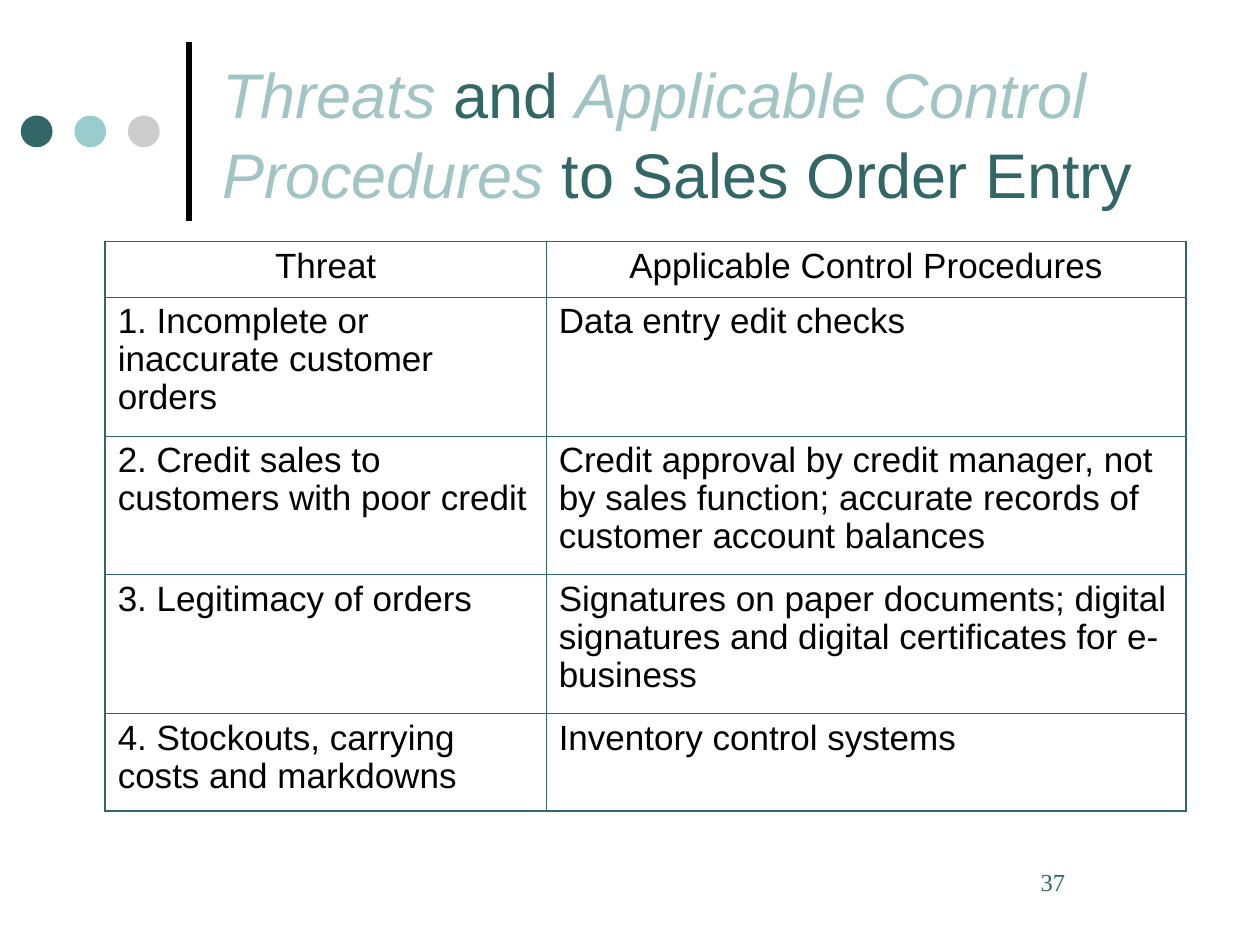
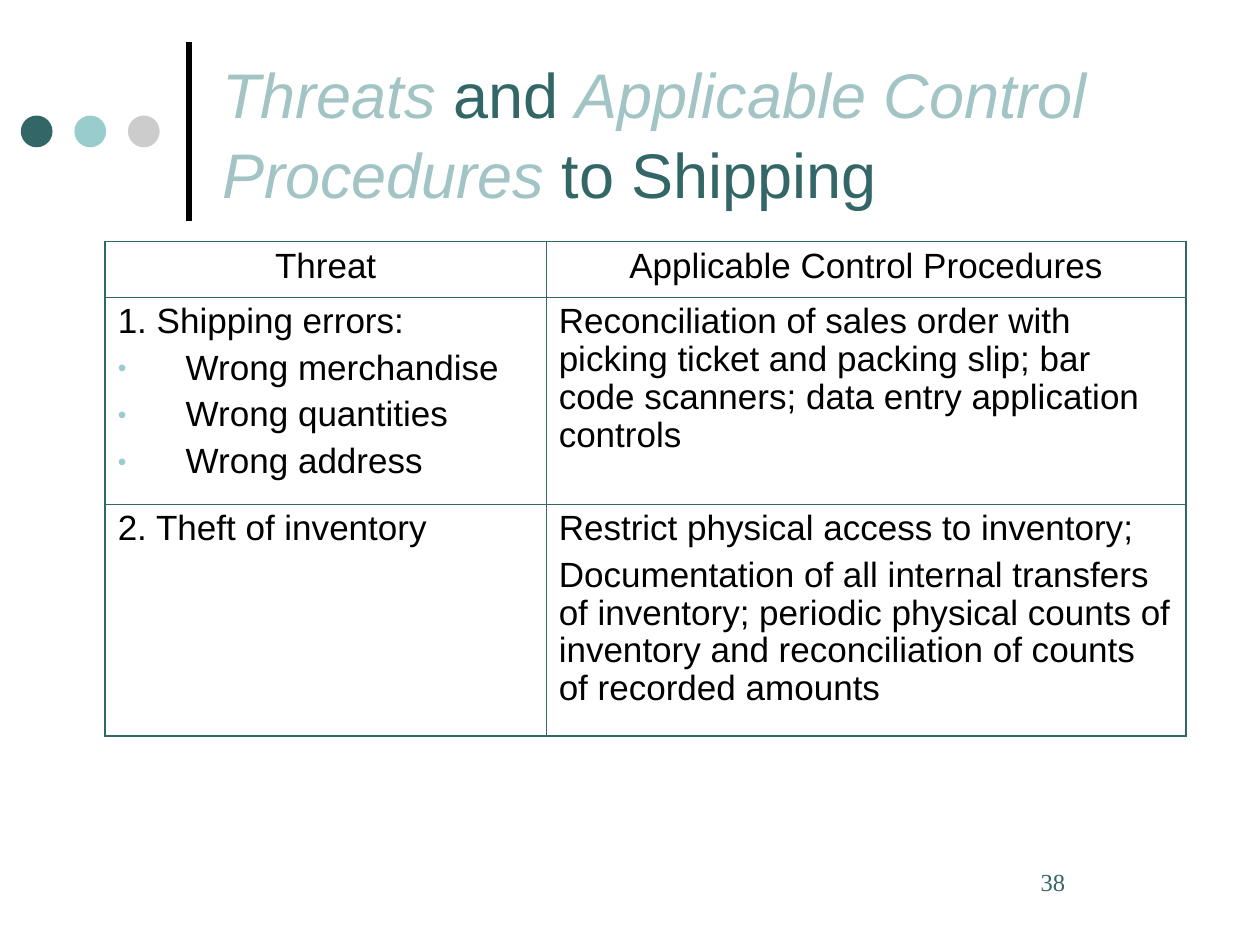
from dataclasses import dataclass

from lxml.etree import SubElement
from pptx import Presentation
from pptx.dml.color import RGBColor
from pptx.enum.shapes import MSO_CONNECTOR, MSO_SHAPE
from pptx.enum.text import MSO_ANCHOR, PP_ALIGN
from pptx.oxml.ns import qn
from pptx.util import Cm, Pt


@dataclass(frozen=True)
class Theme:
    teal: str = "336666"
    aqua: str = "99CCCC"
    pale_teal: str = "A2C4C4"
    grey: str = "CCCCCC"
    black: str = "000000"
    body_font: str = "Arial"
    number_font: str = "Times New Roman"
    title_size: float = 36
    table_size: float = 20
    number_size: float = 14
    rule_width: float = 3
    outer_border: float = 1.08
    inner_border: float = 0.45
    title_spacing: float = 1.05
    table_spacing: float = 0.97
    paragraph_gap: float = 5


@dataclass(frozen=True)
class Bullet:
    text: str


class ThreatDeck:
    def __init__(self, theme):
        self.theme = theme
        self.deck = Presentation()
        self.deck.slide_width, self.deck.slide_height = Cm(25.4), Cm(19.05)
        self.page = None

    def add_page(self, subject, rows, row_heights, number):
        self.page = self.deck.slides.add_slide(self.deck.slide_layouts[6])
        self.add_rule()
        self.add_dots()
        self.add_title(subject)
        self.add_threat_table(rows, row_heights)
        self.add_number(number)

    def add_rule(self):
        rule = self.page.shapes.add_connector(
            MSO_CONNECTOR.STRAIGHT, Cm(3.81), Cm(4.45), Cm(3.81), Cm(0.85))
        rule.line.color.rgb = RGBColor.from_string(self.theme.black)
        rule.line.width = Pt(self.theme.rule_width)
        SubElement(rule._element.spPr, qn("a:effectLst"))

    def add_dots(self):
        colours = (self.theme.teal, self.theme.aqua, self.theme.grey)
        for index, colour in enumerate(colours):
            dot = self.page.shapes.add_shape(
                MSO_SHAPE.OVAL, Cm(0.42 + 1.08 * index), Cm(2.33), Cm(0.64), Cm(0.64))
            dot.shadow.inherit = False
            dot.fill.solid()
            dot.fill.fore_color.rgb = RGBColor.from_string(colour)
            dot.line.fill.background()

    def add_span(self, para, text, size, colour, font=None, italic=False):
        span = para.add_run()
        span.text = text
        span.font.name = font or self.theme.body_font
        span.font.size = Pt(size)
        span.font.italic = italic
        span.font.color.rgb = RGBColor.from_string(colour)

    def add_text_box(self, left, top, width, height, anchor=MSO_ANCHOR.TOP):
        box = self.page.shapes.add_textbox(Cm(left), Cm(top), Cm(width), Cm(height))
        box.text_frame.word_wrap = True
        box.text_frame.vertical_anchor = anchor
        return box.text_frame.paragraphs[0]

    def add_title(self, subject):
        theme = self.theme
        para = self.add_text_box(4.23, 0.53, 19.48, 4.24, MSO_ANCHOR.MIDDLE)
        para.line_spacing = theme.title_spacing
        for text, emphasised in (("Threats ", True), ("and ", False),
                                 ("Applicable Control Procedures ", True),
                                 (f"to {subject}", False)):
            colour = theme.pale_teal if emphasised else theme.teal
            self.add_span(para, text, theme.title_size, colour, italic=emphasised)

    def add_number(self, number):
        para = self.add_text_box(20.12, 17.35, 3.6, 1.27)
        para._p.get_or_add_pPr().set("marL", str(Cm(0.61)))
        self.add_span(para, str(number), self.theme.number_size, self.theme.teal,
                      self.theme.number_font)

    def add_threat_table(self, rows, row_heights):
        column_widths = (8.89, 12.9)
        all_rows = [("Threat", "Applicable Control Procedures"), *rows]
        heights = [1.12, *row_heights]
        frame = self.page.shapes.add_table(
            len(all_rows), len(column_widths), Cm(2.12), Cm(4.87),
            Cm(sum(column_widths)), Cm(sum(heights)))
        table = frame.table
        table.first_row = table.horz_banding = False
        for column, width in zip(table.columns, column_widths):
            column.width = Cm(width)
        last_row, last_column = len(all_rows) - 1, len(column_widths) - 1
        for row_index, contents in enumerate(all_rows):
            table.rows[row_index].height = Cm(heights[row_index])
            for column_index, content in enumerate(contents):
                cell = table.cell(row_index, column_index)
                self.fill_cell(cell, content, is_header=row_index == 0)
                self.border_cell(cell, {
                    "lnL": column_index == 0, "lnR": column_index == last_column,
                    "lnT": row_index == 0, "lnB": row_index == last_row})
                cell.fill.background()

    def fill_cell(self, cell, content, is_header):
        """Write one text, or a tuple of texts and bullets, into a cell."""
        items = content if isinstance(content, tuple) else (content,)
        for index, item in enumerate(items):
            para = cell.text_frame.paragraphs[0] if index == 0 else cell.text_frame.add_paragraph()
            text = item
            if isinstance(item, Bullet):
                self.add_bullet(para)
                text = item.text
            para.alignment = PP_ALIGN.CENTER if is_header else PP_ALIGN.LEFT
            para.line_spacing = self.theme.table_spacing
            if index:
                para.space_before = Pt(self.theme.paragraph_gap)
            self.add_span(para, text, self.theme.table_size, self.theme.black)

    def add_bullet(self, para):
        properties = para._p.get_or_add_pPr()
        properties.set("marL", str(Cm(1.37)))
        properties.set("indent", str(-Cm(1.37)))
        colour = SubElement(properties, qn("a:buClr"))
        SubElement(colour, qn("a:srgbClr"), val=self.theme.aqua)
        SubElement(properties, qn("a:buSzPct"), val="70000")
        SubElement(properties, qn("a:buFont"), typeface=self.theme.body_font)
        SubElement(properties, qn("a:buChar"), char="•")

    def border_cell(self, cell, outer_sides):
        properties = cell._tc.get_or_add_tcPr()
        for side, is_outer in outer_sides.items():
            width = self.theme.outer_border if is_outer else self.theme.inner_border
            line = SubElement(properties, qn(f"a:{side}"), w=str(Pt(width)))
            fill = SubElement(line, qn("a:solidFill"))
            SubElement(fill, qn("a:srgbClr"), val=self.theme.teal)


ORDER_ENTRY_THREATS = [
    ("1. Incomplete or inaccurate customer orders", "Data entry edit checks"),
    ("2. Credit sales to customers with poor credit",
     "Credit approval by credit manager, not by sales function; "
     "accurate records of customer account balances"),
    ("3. Legitimacy of orders",
     "Signatures on paper documents; digital signatures and "
     "digital certificates for e-business"),
    ("4. Stockouts, carrying costs and markdowns", "Inventory control systems"),
]

SHIPPING_THREATS = [
    (("1. Shipping errors:", Bullet("Wrong merchandise"),
      Bullet("Wrong quantities"), Bullet("Wrong address")),
     "Reconciliation of sales order with picking ticket and packing slip; "
     "bar code scanners; data entry application controls"),
    ("2. Theft of inventory",
     ("Restrict physical access to inventory;",
      "Documentation of all internal transfers of inventory; periodic physical "
      "counts of inventory and reconciliation of counts of recorded amounts")),
]


def main():
    threats = ThreatDeck(Theme())
    threats.add_page("Sales Order Entry", ORDER_ENTRY_THREATS, [2.8, 2.8, 2.8, 1.96], 37)
    threats.add_page("Shipping", SHIPPING_THREATS, [4.17, 4.68], 38)
    threats.deck.save("out.pptx")


if __name__ == "__main__":
    main()
